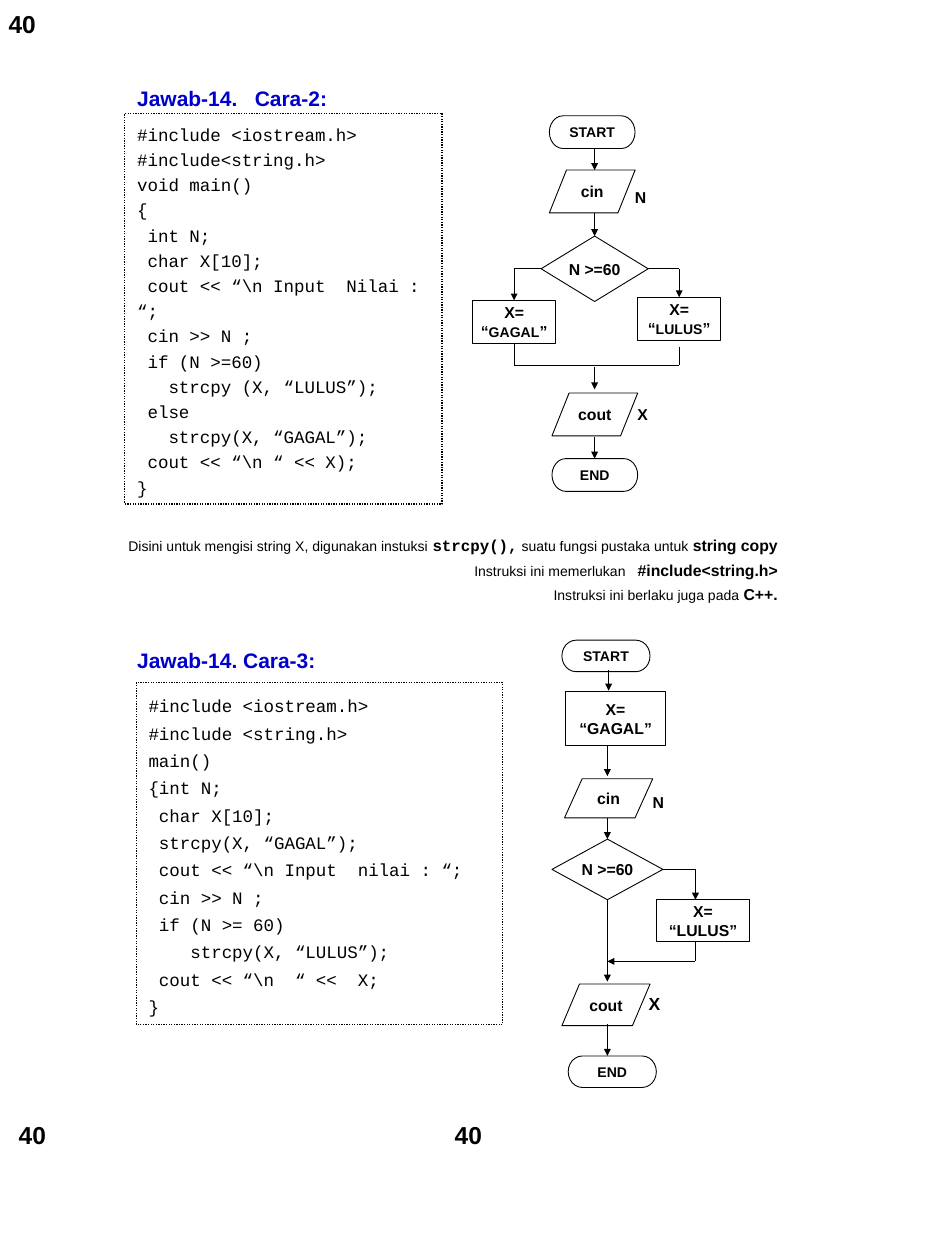
"""Build a worksheet slide with two C++ answers and their flowcharts."""
from dataclasses import dataclass
from typing import Optional

import lxml.etree
import pptx
import pptx.dml.color
import pptx.enum.dml
import pptx.enum.shapes
import pptx.enum.text
import pptx.oxml.ns
import pptx.util

Pt = pptx.util.Pt
SHAPE = pptx.enum.shapes.MSO_SHAPE
ALIGN = pptx.enum.text.PP_ALIGN
ANCHOR = pptx.enum.text.MSO_ANCHOR
FIT = pptx.enum.text.MSO_AUTO_SIZE

COLOURS = {"ink": "000000", "heading": "0000CC"}
SANS, MONO = "Arial", "Courier New"
TOP, LEFT, BOTTOM, RIGHT = range(4)


@dataclass
class Run:
    text: str
    size: Optional[float] = None
    bold: Optional[bool] = None
    font: Optional[str] = None


@dataclass
class Node:
    kind: SHAPE
    x: float
    y: float
    width: float
    height: float
    paragraphs: list
    size: float = 9


@dataclass
class Link:
    x1: float
    y1: float
    x2: float
    y2: float
    arrow: bool = True
    begin: Optional[tuple] = None
    end: Optional[tuple] = None


@dataclass
class Label:
    text: str
    x: float
    y: float
    width: float
    height: float
    size: float = 9
    colour: str = "ink"


@dataclass
class Listing:
    x: float
    y: float
    width: float
    height: float
    spacing: float
    code: str


@dataclass
class Flowchart:
    nodes: dict
    links: list


def rgb(name: str) -> pptx.dml.color.RGBColor:
    return pptx.dml.color.RGBColor.from_string(COLOURS[name])


def write_text(frame, paragraphs, *, size=9, font=SANS, bold=False, colour="ink",
               align=ALIGN.LEFT, spacing=None, wrap=False, anchor=ANCHOR.TOP,
               fit=FIT.NONE) -> None:
    frame.word_wrap = wrap
    frame.vertical_anchor = anchor
    frame.auto_size = fit
    for index, content in enumerate(paragraphs):
        paragraph = frame.add_paragraph() if index else frame.paragraphs[0]
        paragraph.alignment = align
        paragraph.line_spacing = spacing
        for part in [Run(content)] if isinstance(content, str) else content:
            run = paragraph.add_run()
            run.text = part.text
            run.font.name = part.font or font
            run.font.size = Pt(part.size or size)
            run.font.bold = bold if part.bold is None else part.bold
            run.font.color.rgb = rgb(colour)


def draw_outline(slide, kind, x, y, width, height, weight):
    outline = slide.shapes.add_shape(kind, Pt(x), Pt(y), Pt(width), Pt(height))
    outline.shadow.inherit = False
    outline.fill.background()
    outline.line.color.rgb = rgb("ink")
    outline.line.width = Pt(weight)
    return outline


def draw_node(slide, node: Node):
    step = draw_outline(slide, node.kind, node.x, node.y, node.width, node.height, 0.5)
    write_text(step.text_frame, node.paragraphs, size=node.size, bold=True,
               align=ALIGN.CENTER, anchor=ANCHOR.MIDDLE)
    return step


def draw_link(slide, link: Link, steps: dict) -> None:
    flow = slide.shapes.add_connector(pptx.enum.shapes.MSO_CONNECTOR.STRAIGHT,
                                      Pt(link.x1), Pt(link.y1), Pt(link.x2), Pt(link.y2))
    if link.begin:
        flow.begin_connect(steps[link.begin[0]], link.begin[1])
    if link.end:
        flow.end_connect(steps[link.end[0]], link.end[1])
    flow.line.color.rgb = rgb("ink")
    flow.line.width = Pt(0.5)
    properties = flow._element.spPr
    if link.arrow:
        outline = properties.find(pptx.oxml.ns.qn("a:ln"))
        lxml.etree.SubElement(outline, pptx.oxml.ns.qn("a:tailEnd"),
                              type="triangle", w="sm", len="sm")
    lxml.etree.SubElement(properties, pptx.oxml.ns.qn("a:effectLst"))


def draw_flowchart(slide, chart: Flowchart) -> None:
    steps = {key: draw_node(slide, node) for key, node in chart.nodes.items()}
    for link in chart.links:
        draw_link(slide, link, steps)


def draw_listing(slide, listing: Listing) -> None:
    panel = draw_outline(slide, SHAPE.RECTANGLE, listing.x, listing.y,
                         listing.width, listing.height, 0.75)
    panel.line.dash_style = pptx.enum.dml.MSO_LINE.ROUND_DOT
    write_text(panel.text_frame, listing.code.split("\n"), size=10, font=MONO,
               spacing=listing.spacing, wrap=True, fit=FIT.SHAPE_TO_FIT_TEXT)


def draw_label(slide, label: Label) -> None:
    caption = slide.shapes.add_textbox(Pt(label.x), Pt(label.y), Pt(label.width), Pt(label.height))
    write_text(caption.text_frame, [label.text], size=label.size, bold=True,
               colour=label.colour, wrap=True)


LISTINGS = [
    Listing(71.3, 64.8, 181.4, 223.2, 1.2, r"""#include <iostream.h>
#include<string.h>
void main()
{
 int N;
 char X[10];
 cout << “\n Input  Nilai : “;
 cin >> N ;
 if (N >=60)
   strcpy (X, “LULUS”);
 else
   strcpy(X, “GAGAL”);
 cout << “\n “ << X);
}"""),
    Listing(77.8, 390.2, 209.5, 195.1, 1.3, r"""#include <iostream.h>
#include <string.h>
main()
{int N;
 char X[10];
 strcpy(X, “GAGAL”);
 cout << “\n Input  nilai : “;
 cin >> N ;
 if (N >= 60)
    strcpy(X, “LULUS”);
 cout << “\n  “ <<  X;
}"""),
]

TERMINATOR, DATA = SHAPE.FLOWCHART_TERMINATOR, SHAPE.FLOWCHART_DATA
DECISION, BOX = SHAPE.FLOWCHART_DECISION, SHAPE.RECTANGLE

FLOWCHARTS = [
    Flowchart({
        "start": Node(TERMINATOR, 313.9, 66.2, 49, 18.7, ["START"], 8),
        "input": Node(DATA, 313.9, 97.2, 49, 24.5, ["cin"]),
        "test": Node(DECISION, 309.2, 134.9, 61.2, 37.4, ["N >=60"]),
        "pass": Node(BOX, 364.3, 169.9, 47.6, 24.5, ["X=", [Run("“"), Run("LULUS", 8), Run("”")]]),
        "fail": Node(BOX, 270, 171.7, 47.6, 24.5, ["X=", [Run("“"), Run("GAGAL", 8), Run("”")]]),
        "output": Node(DATA, 315.4, 224.6, 49, 24.5, ["cout"]),
        "end": Node(TERMINATOR, 315.4, 262.1, 49, 18.7, ["END"], 8),
    }, [
        Link(339.8, 85, 339.8, 97.2),
        Link(339.8, 121.7, 339.8, 134.9, end=("test", TOP)),
        Link(370.4, 153.6, 388.1, 153.6, False, begin=("test", RIGHT)),
        Link(309.2, 153.6, 293.8, 153.6, False, begin=("test", LEFT)),
        Link(388.1, 153.6, 388.1, 169.9, end=("pass", TOP)),
        Link(293.8, 153.6, 293.8, 171.7, end=("fail", TOP)),
        Link(293.8, 196.2, 293.8, 208.8, False, begin=("fail", BOTTOM)),
        Link(388.1, 198, 388.1, 208.8, False),
        Link(293.8, 208.8, 388.1, 208.8, False),
        Link(339.8, 209.5, 339.8, 222.5),
        Link(339.8, 249.8, 339.8, 262.1),
    ]),
    Flowchart({
        "start": Node(TERMINATOR, 321.1, 365.8, 50.4, 18, ["START"], 8),
        "fail": Node(BOX, 323.3, 395.3, 56.9, 31, ["X=", "“GAGAL”"]),
        "input": Node(DATA, 322.6, 445, 50.4, 22.3, ["cin"]),
        "test": Node(DECISION, 315.4, 479.5, 63.4, 34.6, ["N >=60"]),
        "pass": Node(BOX, 375.1, 514.1, 53.3, 23.8, ["X=", "“LULUS”"]),
        "output": Node(DATA, 321.1, 562.3, 50.4, 23.8, ["cout"]),
        "end": Node(TERMINATOR, 324.7, 603.4, 50.4, 18, ["END"], 8),
    }, [
        Link(347.8, 383, 347.8, 394.6),
        Link(347.1, 426.2, 347.1, 443.5),
        Link(347.1, 467.3, 347.1, 479.5, end=("test", TOP)),
        Link(378.8, 496.8, 397.4, 496.8, False, begin=("test", RIGHT)),
        Link(397.4, 496.8, 397.4, 514.1),
        Link(397.4, 537.8, 397.4, 549.4, False),
        Link(397.4, 549.4, 347.1, 549.4),
        Link(347.1, 514.1, 347.1, 560.9, begin=("test", BOTTOM)),
        Link(347.1, 585.4, 347.1, 603.4),
    ]),
]

LABELS = [
    Label("N", 355.7, 103.7, 23, 18),
    Label("X", 357.1, 227.5, 23, 18),
    Label("N", 365.8, 449.3, 23, 18),
    Label("X", 363.6, 563.8, 23, 19.4, 10),
    Label("Jawab-14.   Cara-2:", 71.3, 45.4, 128, 21.6, 12, "heading"),
    Label("Jawab-14. Cara-3:", 71.3, 366.5, 122, 21.6, 12, "heading"),
    *(Label("40", x, y, 34, 24.5, 14) for x, y in [(252.7, 636.5), (3.6, 636.5), (-2.2, 1.4)]),
]

REMARKS = [
    [Run("Disini untuk mengisi string X, digunakan instuksi "), Run("strcpy(),", 9, True, MONO),
     Run(" suatu fungsi pustaka untuk "), Run("string copy", 9, True)],
    [Run("Instruksi ini memerlukan   "), Run("#include<string.h>", 9, True)],
    [Run("Instruksi ini berlaku juga pada "), Run("C++.", 9, True)],
]


def main() -> None:
    deck = pptx.Presentation()
    deck.slide_width, deck.slide_height = Pt(540), Pt(720)
    slide = deck.slides.add_slide(deck.slide_layouts[6])
    for listing, chart in zip(LISTINGS, FLOWCHARTS):
        draw_listing(slide, listing)
        draw_flowchart(slide, chart)
    for label in LABELS:
        draw_label(slide, label)
    remarks = slide.shapes.add_textbox(Pt(60.5), Pt(299.5), Pt(391), Pt(49.7))
    write_text(remarks.text_frame, REMARKS, size=8, align=ALIGN.RIGHT, spacing=1.3,
               wrap=True, fit=FIT.SHAPE_TO_FIT_TEXT)
    deck.save("out.pptx")


if __name__ == "__main__":
    main()
